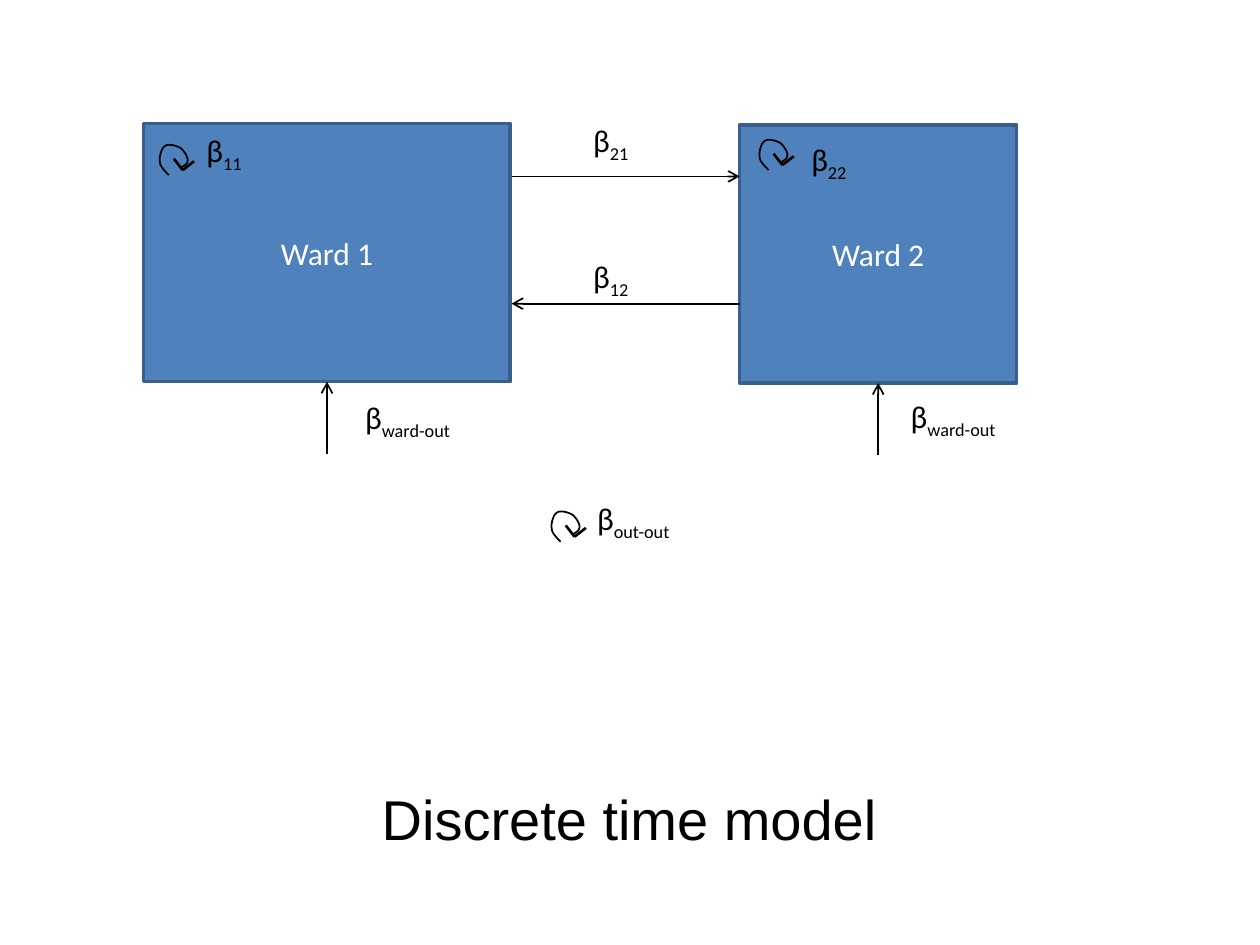
from pptx import Presentation
from pptx.dml.color import RGBColor
from pptx.enum.shapes import MSO_CONNECTOR, MSO_SHAPE
from pptx.enum.text import MSO_ANCHOR, MSO_AUTO_SIZE, PP_ALIGN
from pptx.oxml.ns import qn
from pptx.util import Inches, Pt
from lxml.etree import SubElement

BLUE = RGBColor(0x4F, 0x81, 0xBD)
EDGE = RGBColor(0x3A, 0x5F, 0x8C)
BLACK = RGBColor(0, 0, 0)
WHITE = RGBColor(255, 255, 255)

deck = Presentation()
deck.slide_width, deck.slide_height = Inches(10), Inches(7.5)
slide = deck.slides.add_slide(deck.slide_layouts[6])
shapes = slide.shapes

# Grid of 100 columns by 75 rows
COL = deck.slide_width / 100
ROW = deck.slide_height / 75


def add_run(para, text, size, color, font="Calibri", sub=False):
    run = para.add_run()
    run.text = text
    run.font.size, run.font.name = Pt(size), font
    run.font.color.rgb = color
    if sub:
        run.font._element.set("baseline", "-25000")


def add_line(owner, start, end, width, arrow=False):
    line = owner.add_connector(
        MSO_CONNECTOR.STRAIGHT, int(start[0] * COL), int(start[1] * ROW),
        int(end[0] * COL), int(end[1] * ROW))
    line.line.color.rgb, line.line.width = BLACK, Pt(width)
    if arrow:
        SubElement(line.line._get_or_add_ln(), qn("a:tailEnd"), type="arrow")
    SubElement(line._element.spPr, qn("a:effectLst"))
    return line


# Wards, each with an arrow from outside
for name, x, y, wide in (("Ward 1", 11.4, 9.8, 29.1), ("Ward 2", 58.7, 9.9, 22)):
    ward = shapes.add_shape(MSO_SHAPE.RECTANGLE, int(x * COL), int(y * ROW),
                            int(wide * COL), int(20.5 * ROW))
    ward.shadow.inherit = False
    ward.fill.solid()
    ward.fill.fore_color.rgb = BLUE
    ward.line.color.rgb, ward.line.width = EDGE, Pt(2)
    ward.text_frame.vertical_anchor = MSO_ANCHOR.MIDDLE
    para = ward.text_frame.paragraphs[0]
    para.alignment = PP_ALIGN.CENTER
    add_run(para, name, 18, WHITE)
    mid, base = x + wide / 2, y + 20.5
    inlet = add_line(shapes, (mid, base + 5.7), (mid, base), 1, True)
    inlet.end_connect(ward, 2)

# Arrows between the wards
add_line(shapes, (40.6, 14), (58.7, 14), 1, True)
add_line(shapes, (58.7, 24.1), (40.6, 24.1), 1, True)

# Rate labels
for sub, x, y, wide in (
        ("11", 15.4, 9.9, 7.1), ("22", 63.4, 10.6, 7.1),
        ("21", 46.1, 9.1, 7.1), ("12", 46.1, 19.9, 7.1),
        ("ward-out", 28, 31.1, 12.6), ("ward-out", 71.3, 31, 12.6),
        ("out-out", 46.4, 39.1, 12.2)):
    box = shapes.add_textbox(int(x * COL), int(y * ROW), int(wide * COL), int(4 * ROW))
    box.text_frame.word_wrap = True
    box.text_frame.auto_size = MSO_AUTO_SIZE.SHAPE_TO_FIT_TEXT
    para = box.text_frame.paragraphs[0]
    add_run(para, "β", 18, BLACK)
    add_run(para, sub, 18, BLACK, sub=True)

# Self loops: Bezier pieces traced as short steps
FIRST = (0.8, 2.4)
CURVE = (
    ((0.5, 2.1), (0.1, 1.7), (0.1, 1.4)), ((0, 1), (0.2, 0.5), (0.3, 0.3)),
    ((0.5, 0), (0.7, 0), (0.9, 0)), ((1.1, 0), (1.5, 0.1), (1.8, 0.3)),
    ((2, 0.5), (2.3, 0.9), (2.3, 1.2)), ((2.3, 1.5), (2.1, 1.6), (1.8, 1.8)))
STEPS = 6
trace = [FIRST]
for one, two, last in CURVE:
    first = trace[-1]
    for step in range(1, STEPS + 1):
        t = step / STEPS
        u = 1 - t
        trace.append(tuple(
            u**3 * a + 3 * u * u * t * b + 3 * u * t * t * c + t**3 * d
            for a, b, c, d in zip(first, one, two, last)))

for x, y in ((12.6, 11.5), (60.2, 11.1), (43.7, 40.6)):
    group = shapes.add_group_shape()
    spots = [(int((x + dx) * COL), int((y + dy) * ROW)) for dx, dy in trace]
    pen = group.shapes.build_freeform(*spots[0])
    pen.add_line_segments(spots[1:], close=False)
    loop = pen.convert_to_shape()
    loop.shadow.inherit = False
    loop.fill.background()
    loop.line.color.rgb, loop.line.width = BLACK, Pt(1)
    for dx, dy in ((1.2, 1.1), (2.8, 1.3)):
        add_line(group.shapes, (x + 1.9, y + 2), (x + dx, y + dy), 1.5)

# Caption
box = shapes.add_textbox(int(1.2 * COL), int(61.8 * ROW), int(97.5 * COL), int(6.4 * ROW))
box.text_frame.word_wrap = True
box.text_frame.auto_size = MSO_AUTO_SIZE.SHAPE_TO_FIT_TEXT
para = box.text_frame.paragraphs[0]
para.alignment = PP_ALIGN.CENTER
add_run(para, "Discrete time model", 32, BLACK, "Arial")

deck.save("out.pptx")
